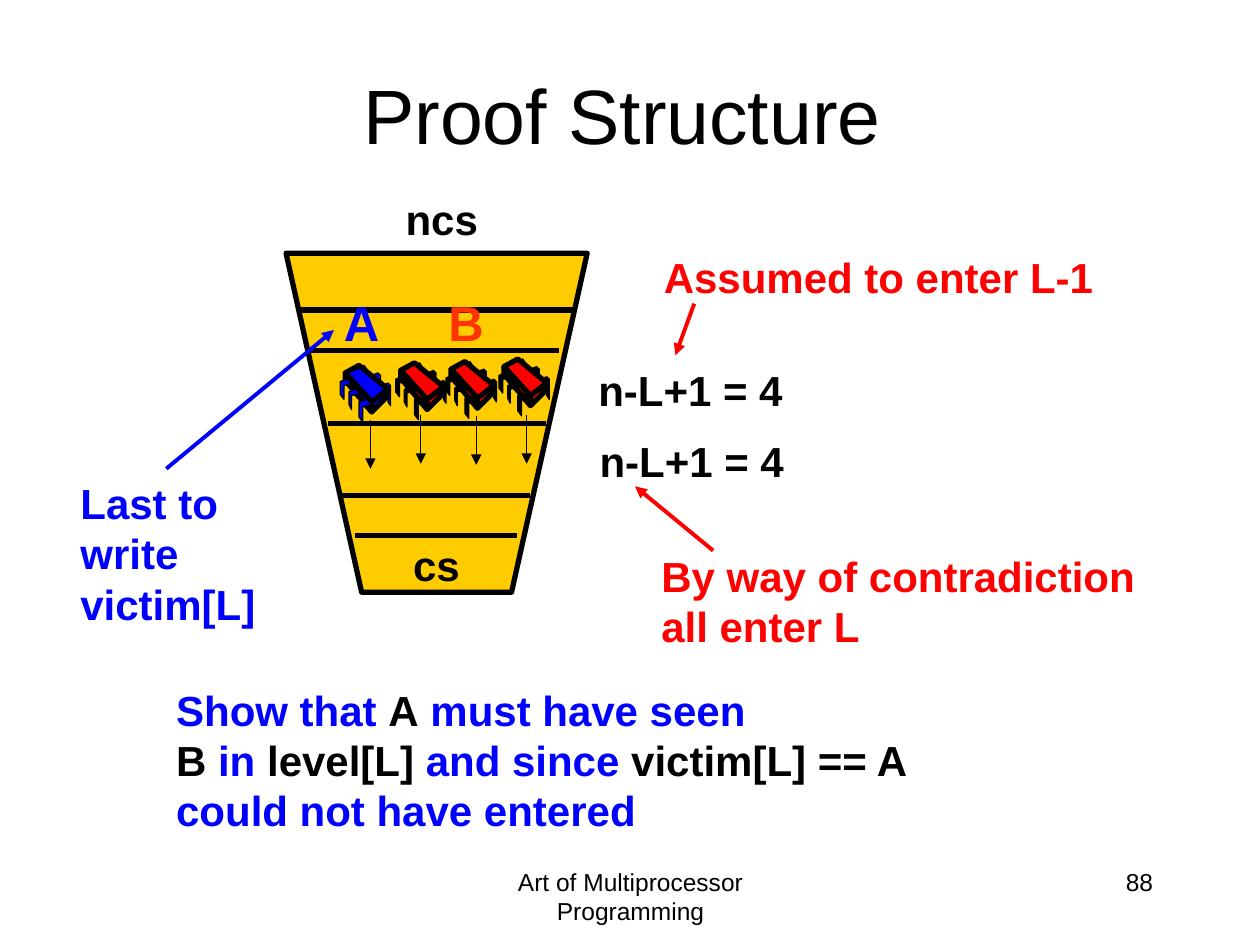
"""Build the "Proof Structure" slide with its funnel of levels."""
from dataclasses import dataclass

from lxml import etree
from pptx import Presentation
from pptx.dml.color import RGBColor
from pptx.enum.text import MSO_ANCHOR, MSO_AUTO_SIZE, PP_ALIGN
from pptx.oxml.ns import qn
from pptx.util import Pt

PX = 9144
LEFT, CENTER, RIGHT = PP_ALIGN.LEFT, PP_ALIGN.CENTER, PP_ALIGN.RIGHT
TOP, MIDDLE = MSO_ANCHOR.TOP, MSO_ANCHOR.MIDDLE
FIT, FIXED = MSO_AUTO_SIZE.SHAPE_TO_FIT_TEXT, MSO_AUTO_SIZE.NONE


@dataclass(frozen=True)
class Theme:
    font: str = "Arial"
    black: str = "000000"
    blue: str = "0000FF"
    red: str = "FF0000"
    orange: str = "FF3300"
    gold: str = "FFCC00"
    title: int = 44
    letter: int = 28
    body: int = 24
    footer: int = 14
    thick: float = 3
    medium: float = 2.25
    thin: float = 0.75


T = Theme()


@dataclass(frozen=True)
class Label:
    box: tuple[int, int, int, int]
    lines: list[list[tuple[str, str]]]
    size: int = T.body
    bold: bool = True
    wrap: bool = False
    align: PP_ALIGN = LEFT
    anchor: MSO_ANCHOR = TOP


@dataclass(frozen=True)
class Line:
    start: tuple[int, int]
    end: tuple[int, int]
    color: str = T.black
    width: float = T.thick
    arrow: bool = True


@dataclass(frozen=True)
class Chip:
    x: int
    y: int
    body: str
    legs: str


@dataclass(frozen=True)
class Part:
    dx: int
    dy: int
    points: list[tuple[int, int]]
    leg: bool = True


BACK_LEG = [(0, 2), (5, 0), (7, 2), (7, 18), (5, 15), (5, 5), (0, 8)]
CHIP_PARTS = [
    Part(33, 14, BACK_LEG),
    Part(25, 6, BACK_LEG),
    Part(15, 0, [(0, 3), (4, 0), (6, 3), (6, 16), (4, 14), (4, 5), (0, 7)]),
    Part(0, 0, [(15, 0), (38, 19), (25, 30), (4, 6)], leg=False),
    Part(0, 0, [(4, 6), (25, 29), (25, 37), (4, 12)], leg=False),
    Part(0, 0, [(38, 19), (38, 24), (25, 37), (25, 29)], leg=False),
    Part(15, 27, [(6, 0), (10, 4), (3, 6), (3, 18), (0, 14), (0, 2)]),
    Part(7, 19, [(5, 0), (10, 3), (2, 5), (2, 16), (0, 12), (0, 2)]),
    Part(0, 11, [(5, 0), (9, 4), (3, 5), (3, 16), (0, 12), (0, 2)]),
]
CHIPS = [
    Chip(354, 287, T.red, T.black),
    Chip(314, 288, T.red, T.black),
    Chip(396, 285, T.red, T.black),
    Chip(270, 290, T.blue, T.blue),
]
FUNNEL = [(227, 201), (287, 470), (406, 470), (466, 201)]
LEVELS = [(239, 455, 246), (244, 444, 278), (260, 433, 336), (271, 421, 393), (282, 410, 425)]
STEPS = [(294, 333), (334, 329), (378, 330), (418, 329)]
STEP_LENGTH = 39
POINTERS = [
    Line((551, 241), (536, 282), T.red, T.medium),
    Line((566, 437), (504, 386), T.red, T.medium),
    Line((132, 372), (265, 262), T.blue, T.medium),
]
LABELS = [
    Label((342, 683, 317, 50), [[("Art of Multiprocessor Programming", T.black)]],
          T.footer, False, True, CENTER),
    Label((717, 683, 208, 50), [[("88", T.black)]], T.footer, False, True, RIGHT),
    Label((69, 28, 850, 125), [[("Proof Structure", T.black)]],
          T.title, False, True, CENTER, MIDDLE),
    Label((312, 149, 78, 51), [[("ncs", T.black)]]),
    Label((318, 423, 58, 51), [[("cs", T.black)]]),
    Label((517, 195, 364, 51), [[("Assumed to enter L-1", T.red)]]),
    Label((515, 432, 399, 91),
          [[("By way of contradiction", T.red)], [("all enter L", T.red)]]),
    Label((465, 284, 168, 51), [[("n-L+1 = 4", T.black)]]),
    Label((466, 341, 168, 51), [[("n-L+1 = 4", T.black)]]),
    Label((263, 227, 49, 57), [[("A", T.blue)]], T.letter),
    Label((346, 227, 49, 57), [[("B", T.orange)]], T.letter),
    Label((54, 374, 160, 131),
          [[("Last to", T.blue)], [("write", T.blue)], [("victim[L]", T.blue)]]),
    Label((130, 538, 626, 131), [
        [("Show that ", T.blue), ("A", T.black), (" must have seen", T.blue)],
        [("B", T.black), (" in ", T.blue), ("level[L]", T.black),
         (" and since ", T.blue), ("victim[L] == A", T.black)],
        [("could not have entered", T.blue)],
    ]),
]


def rgb(color: str) -> RGBColor:
    return RGBColor.from_string(color)


def draw_outline(shapes, points: list[tuple[int, int]], fill: str, width: float) -> None:
    builder = shapes.build_freeform(*points[0], scale=PX)
    builder.add_line_segments(points[1:], close=True)
    sp = builder.convert_to_shape()
    sp.shadow.inherit = False
    sp.fill.solid()
    sp.fill.fore_color.rgb = rgb(fill)
    sp.line.color.rgb = rgb(T.black)
    sp.line.width = Pt(width)


def draw_chip(s, chip: Chip) -> None:
    group = s.shapes.add_group_shape()
    for part in CHIP_PARTS:
        points = [(chip.x + part.dx + x, chip.y + part.dy + y) for x, y in part.points]
        fill, width = (chip.legs, T.thin) if part.leg else (chip.body, T.thick)
        draw_outline(group.shapes, points, fill, width)


def draw_line(s, line: Line) -> None:
    ends = [v * PX for v in (*line.start, *line.end)]
    cxn = s.shapes.add_connector(1, *ends)
    cxn.line.color.rgb = rgb(line.color)
    cxn.line.width = Pt(line.width)
    if line.arrow:
        etree.SubElement(cxn.line._get_or_add_ln(), qn("a:tailEnd"), type="triangle")
    etree.SubElement(cxn._element.spPr, qn("a:effectLst"))


def draw_label(s, label: Label) -> None:
    tf = s.shapes.add_textbox(*(v * PX for v in label.box)).text_frame
    tf.word_wrap = label.wrap
    tf.auto_size = FIXED if label.wrap else FIT
    tf.vertical_anchor = label.anchor
    for i, runs in enumerate(label.lines):
        p = tf.add_paragraph() if i else tf.paragraphs[0]
        p.alignment = label.align
        for text, color in runs:
            r = p.add_run()
            r.text = text
            r.font.name = T.font
            r.font.size = Pt(label.size)
            r.font.bold = label.bold
            r.font.color.rgb = rgb(color)


def main() -> None:
    prs = Presentation()
    prs.slide_width, prs.slide_height = 1000 * PX, 750 * PX
    s = prs.slides.add_slide(prs.slide_layouts[6])
    draw_outline(s.shapes, FUNNEL, T.gold, T.thick)
    for left, right, y in LEVELS:
        draw_line(s, Line((left, y), (right, y), arrow=False))
    for chip in CHIPS:
        draw_chip(s, chip)
    for x, y in STEPS:
        draw_line(s, Line((x, y), (x, y + STEP_LENGTH), width=T.thin))
    for pointer in POINTERS:
        draw_line(s, pointer)
    for label in LABELS:
        draw_label(s, label)
    prs.save("out.pptx")


if __name__ == "__main__":
    main()
